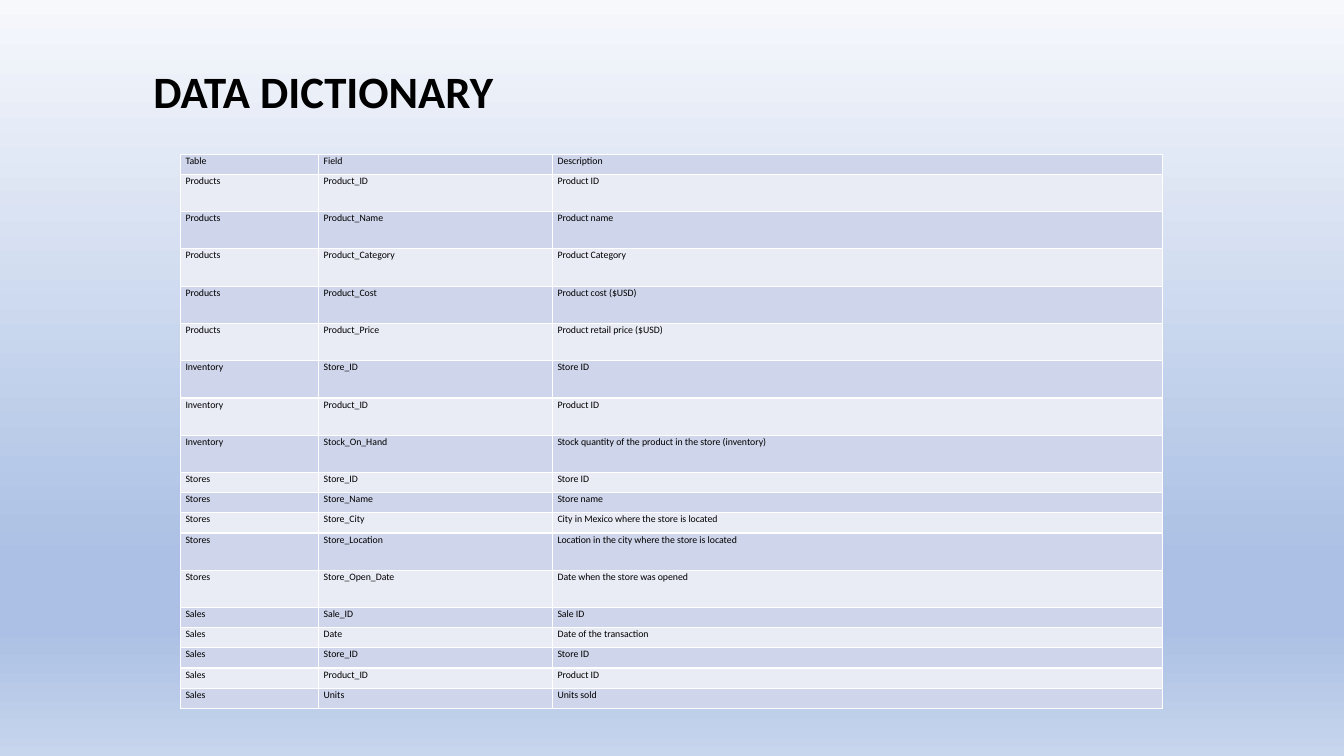
from typing import NamedTuple

from lxml import etree
from pptx import Presentation
from pptx.dml.color import RGBColor
from pptx.enum.text import MSO_ANCHOR, MSO_AUTO_SIZE, PP_ALIGN
from pptx.oxml.ns import qn
from pptx.util import Inches, Pt

LEFT = PP_ALIGN.LEFT
MIDDLE = MSO_ANCHOR.MIDDLE
NO_AUTOFIT = MSO_AUTO_SIZE.NONE

FONT = "Calibri"
BLACK = "000000"
WHITE = "FFFFFF"
BAND_COLOURS = ("CFD5EA", "E9EBF5")
GRADIENT_STOPS = ((0, "F6F8FC"), (74, "ABC0E4"), (83, "ABC0E4"), (100, "C7D5ED"))
COLUMN_WIDTHS = (1.37, 2.32, 6.05)
SHORT, TALL = 0.2, 0.37


class Entry(NamedTuple):
    table: str
    field: str
    description: str
    height: float = SHORT


ENTRIES = (
    Entry("Table", "Field", "Description"),
    Entry("Products", "Product_ID", "Product ID", TALL),
    Entry("Products", "Product_Name", "Product name", TALL),
    Entry("Products", "Product_Category", "Product Category", TALL),
    Entry("Products", "Product_Cost", "Product cost ($USD)", TALL),
    Entry("Products", "Product_Price", "Product retail price ($USD)", TALL),
    Entry("Inventory", "Store_ID", "Store ID", TALL),
    Entry("Inventory", "Product_ID", "Product ID", TALL),
    Entry("Inventory", "Stock_On_Hand",
          "Stock quantity of the product in the store (inventory)", TALL),
    Entry("Stores", "Store_ID", "Store ID"),
    Entry("Stores", "Store_Name", "Store name"),
    Entry("Stores", "Store_City", "City in Mexico where the store is located"),
    Entry("Stores", "Store_Location",
          "Location in the city where the store is located", TALL),
    Entry("Stores", "Store_Open_Date", "Date when the store was opened", TALL),
    Entry("Sales", "Sale_ID", "Sale ID"),
    Entry("Sales", "Date", "Date of the transaction"),
    Entry("Sales", "Store_ID", "Store ID"),
    Entry("Sales", "Product_ID", "Product ID"),
    Entry("Sales", "Units", "Units sold"),
)


def colour(value: str) -> RGBColor:
    return RGBColor.from_string(value)


def write(frame, text: str, *, size: float, bold: bool = False,
          line_spacing: float = 1.0, space_after: float = 0) -> None:
    para = frame.paragraphs[0]
    para.alignment = LEFT
    para.line_spacing = line_spacing
    para.space_before = Pt(0)
    para.space_after = Pt(space_after)
    span = para.add_run()
    span.text = text
    span.font.name = FONT
    span.font.size = Pt(size)
    span.font.bold = bold
    span.font.color.rgb = colour(BLACK)


def paint_background(page) -> None:
    fill = page.background.fill
    fill.gradient()
    fill.gradient_angle = 270  # counter-clockwise, so top to bottom
    stops = page.element.find(".//" + qn("a:gsLst"))
    for stop in list(stops):
        stops.remove(stop)
    for percent, value in GRADIENT_STOPS:
        stop = etree.SubElement(stops, qn("a:gs"), pos=str(percent * 1000))
        etree.SubElement(stop, qn("a:srgbClr"), val=value)


def add_title(page) -> None:
    title = page.shapes.title
    title.left, title.top = Inches(1.42), Inches(0.61)
    title.width, title.height = Inches(10.5), Inches(0.64)
    frame = title.text_frame
    frame.word_wrap = True
    frame.auto_size = NO_AUTOFIT
    frame.vertical_anchor = MIDDLE
    write(frame, "DATA DICTIONARY", size=32, bold=True, line_spacing=0.9)


def add_borders(cell) -> None:
    properties = cell._tc.get_or_add_tcPr()
    for position, side in enumerate(("a:lnL", "a:lnR", "a:lnT", "a:lnB")):
        line = etree.Element(qn(side), w=str(Pt(1)))
        fill = etree.SubElement(line, qn("a:solidFill"))
        etree.SubElement(fill, qn("a:srgbClr"), val=WHITE)
        properties.insert(position, line)


def add_dictionary(page) -> None:
    height = sum(entry.height for entry in ENTRIES)
    table = page.shapes.add_table(
        len(ENTRIES), len(COLUMN_WIDTHS), Inches(1.79), Inches(1.53),
        Inches(sum(COLUMN_WIDTHS)), Inches(height)).table
    table.first_row = False
    for column, width in zip(table.columns, COLUMN_WIDTHS):
        column.width = Inches(width)
    for index, (row, entry) in enumerate(zip(table.rows, ENTRIES)):
        row.height = Inches(entry.height)
        texts = (entry.table, entry.field, entry.description)
        for cell, text in zip(row.cells, texts):
            cell.margin_left = cell.margin_right = Inches(0.05)
            cell.margin_top = cell.margin_bottom = 0
            cell.fill.solid()
            cell.fill.fore_color.rgb = colour(BAND_COLOURS[index % 2])
            add_borders(cell)
            write(cell.text_frame, text, size=7, line_spacing=1.07, space_after=8)


def main() -> None:
    deck = Presentation()
    deck.slide_width, deck.slide_height = Inches(13.33), Inches(7.5)
    page = deck.slides.add_slide(deck.slide_layouts.get_by_name("Title Only"))
    paint_background(page)
    add_title(page)
    add_dictionary(page)
    deck.save("out.pptx")


if __name__ == "__main__":
    main()
